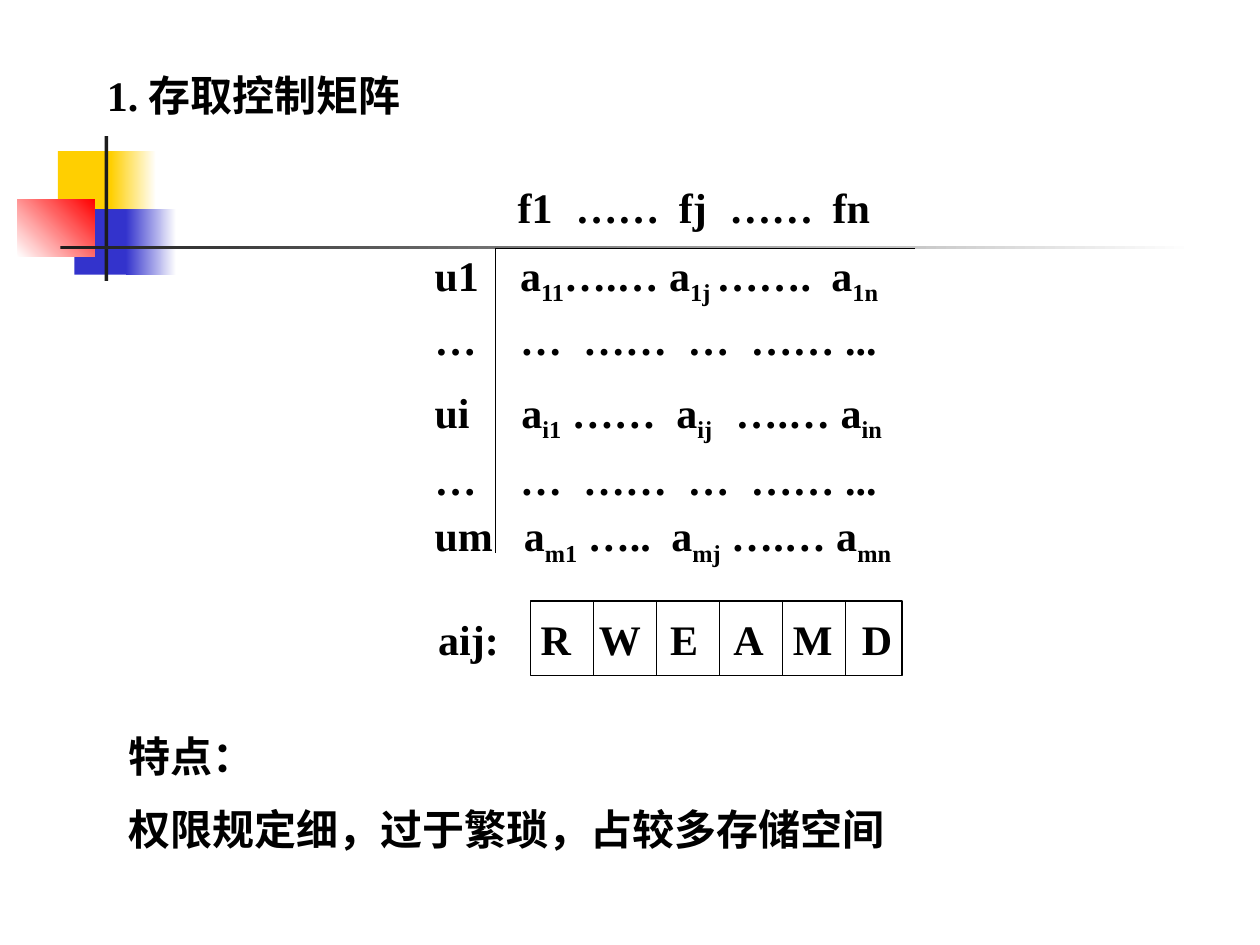
"""Builds the access control matrix slide on a grid of 100 columns by 75 rows."""
from lxml import etree
from pptx import Presentation, util as u
from pptx.dml.color import RGBColor
from pptx.enum import shapes, text
from pptx.oxml.ns import qn

COLS, ROWS = 100, 75
WIDTH, HEIGHT = u.Inches(10), u.Inches(7.5)
BLACK = RGBColor(0, 0, 0)
WHITE = RGBColor(255, 255, 255)
YELLOW = RGBColor(0xFF, 0xCF, 0x01)
BLUE = RGBColor(0x33, 0x33, 0xCC)
RED = RGBColor(255, 0, 0)
DARK = RGBColor(0x1C, 0x1C, 0x1C)

DECORATION = [
    ((4.6, 12, 4.8, 5.2), [YELLOW], 0),
    ((8.8, 12, 3.6, 5.2), [YELLOW, WHITE], 0),
    ((5.9, 16.6, 4.6, 5.2), [BLUE], 0),
    ((10, 16.6, 4, 5.2), [BLUE, WHITE], 0),
    ((1.4, 15.8, 6.1, 4.6), [WHITE, RED], 45),
    ((8.3, 10.8, 0.3, 11.5), [DARK], 0),
    ((4.8, 19.5, 90, 0.3), [DARK, WHITE], 0),
]

# Subscripts stand between tildes; each row has its tab stops, line spacing and space before.
MATRIX = [
    ("\tf1\t……\tfj\t……\tfn", (6.6, 11.2, 19.4, 23.4, 31.6), 1, 0),
    ("u1\ta~11~….… a~1j ~…….\ta~1n~", (6.8, 31.5), 0.8, 13),
    ("…\t…\t……\t…\t…… ...", (6.8, 11.8, 20.1, 25.1), 0.8, 13),
    ("ui\ta~i1~ ……\ta~ij~\t….… a~in~", (6.9, 19.2, 23.9), 1, 13),
    ("…\t…\t……\t…\t…… ...", (6.8, 11.8, 20.1, 25.1), 1.2, 0),
    ("um\ta~m1~ …..\ta~mj~ ….… a~mn~", (7.1, 18.8), 1.1, 0),
]


def x(cols):
    """Return the length of a number of grid columns."""
    return round(WIDTH * cols / COLS)


def y(rows):
    """Return the length of a number of grid rows."""
    return round(HEIGHT * rows / ROWS)


def add_tabs(p, stops, align="l"):
    """Set the tab stops of a paragraph, in columns."""
    tabs = etree.SubElement(p._p.get_or_add_pPr(), qn("a:tabLst"))
    for stop in stops:
        etree.SubElement(tabs, qn("a:tab"), pos=str(x(stop)), algn=align)


def add_runs(p, content):
    """Fill a paragraph with bold black runs, every second part a subscript."""
    for i, part in enumerate(content.split("~")):
        if not part:
            continue
        r = p.add_run()
        r.text = part
        r.font.name, r.font.size, r.font.bold = "Times New Roman", u.Pt(24), True
        r.font.color.rgb = BLACK
        if i % 2:
            r.font._element.set("baseline", "-25000")


def add_rect(s, box, colors, angle=0):
    """Add a rectangle without outline, plain or with a two-colour gradient."""
    left, top, width, height = box
    sp = s.shapes.add_shape(shapes.MSO_SHAPE.RECTANGLE, x(left), y(top), x(width), y(height))
    sp.shadow.inherit = False
    sp.line.fill.background()
    if len(colors) == 1:
        sp.fill.solid()
        sp.fill.fore_color.rgb = colors[0]
    else:
        sp.fill.gradient()
        sp.fill.gradient_angle = angle
        for stop, color, position in zip(sp.fill.gradient_stops, colors, (0, 1)):
            stop.color.rgb, stop.position = color, position
    return sp


def add_line(s, x1, y1, x2, y2):
    """Add a thin black line."""
    c = s.shapes.add_connector(shapes.MSO_CONNECTOR.STRAIGHT, x(x1), y(y1), x(x2), y(y2))
    c.line.color.rgb, c.line.width = BLACK, u.Pt(0.75)
    etree.SubElement(c._element.spPr, qn("a:effectLst"))


def add_text(s, box, rows):
    """Add a text box of rows: content, tab stops, line spacing, space before."""
    left, top, width, height = box
    tf = s.shapes.add_textbox(x(left), y(top), x(width), y(height)).text_frame
    tf.word_wrap = True
    for i, (content, stops, spacing, before) in enumerate(rows):
        p = tf.add_paragraph() if i else tf.paragraphs[0]
        p.line_spacing = float(spacing)
        if before:
            p.space_before = u.Pt(before)
        if stops:
            add_tabs(p, stops)
        add_runs(p, content)


def add_rights(s, left, top, height, letters):
    """Add the framed row of access right letters with its dividers."""
    sp = add_rect(s, (left, top, 29.5, height), [WHITE])
    sp.line.color.rgb, sp.line.width = BLACK, u.Pt(0.75)
    tf = sp.text_frame
    tf.word_wrap = True
    tf.margin_left = tf.margin_right = 0
    tf.vertical_anchor = text.MSO_ANCHOR.MIDDLE
    p = tf.paragraphs[0]
    p.alignment = text.PP_ALIGN.LEFT
    add_tabs(p, [2 + 5.1 * i for i in range(len(letters))], "ctr")
    add_runs(p, "".join("\t" + letter for letter in letters))
    for i in range(1, len(letters)):
        add_line(s, left + 5 * i, top, left + 5 * i, top + height)


def main():
    """Build and save the slide."""
    prs = Presentation()
    prs.slide_width, prs.slide_height = WIDTH, HEIGHT
    s = prs.slides.add_slide(prs.slide_layouts[6])
    for box, colors, angle in DECORATION:
        add_rect(s, box, colors, angle)
    add_text(s, (7.5, 5, 79.2, 5), [("1. 存取控制矩阵", (), 1, 0)])
    add_text(s, (33.5, 13.9, 45.8, 30.6), MATRIX)
    add_line(s, 39.3, 19.7, 39.3, 43.9)
    add_line(s, 39.3, 19.7, 72.6, 19.7)
    add_rights(s, 42.1, 47.7, 5.9, "RWEAMD")
    add_text(s, (33.8, 48.2, 7.6, 5), [("aij:", (), 1, 0)])
    add_text(s, (9.2, 57.5, 64.2, 11), [
        ("特点：", (), 1, 0),
        ("权限规定细，过于繁琐，占较多存储空间", (), 1, 13),
    ])
    prs.save("out.pptx")


if __name__ == "__main__":
    main()
